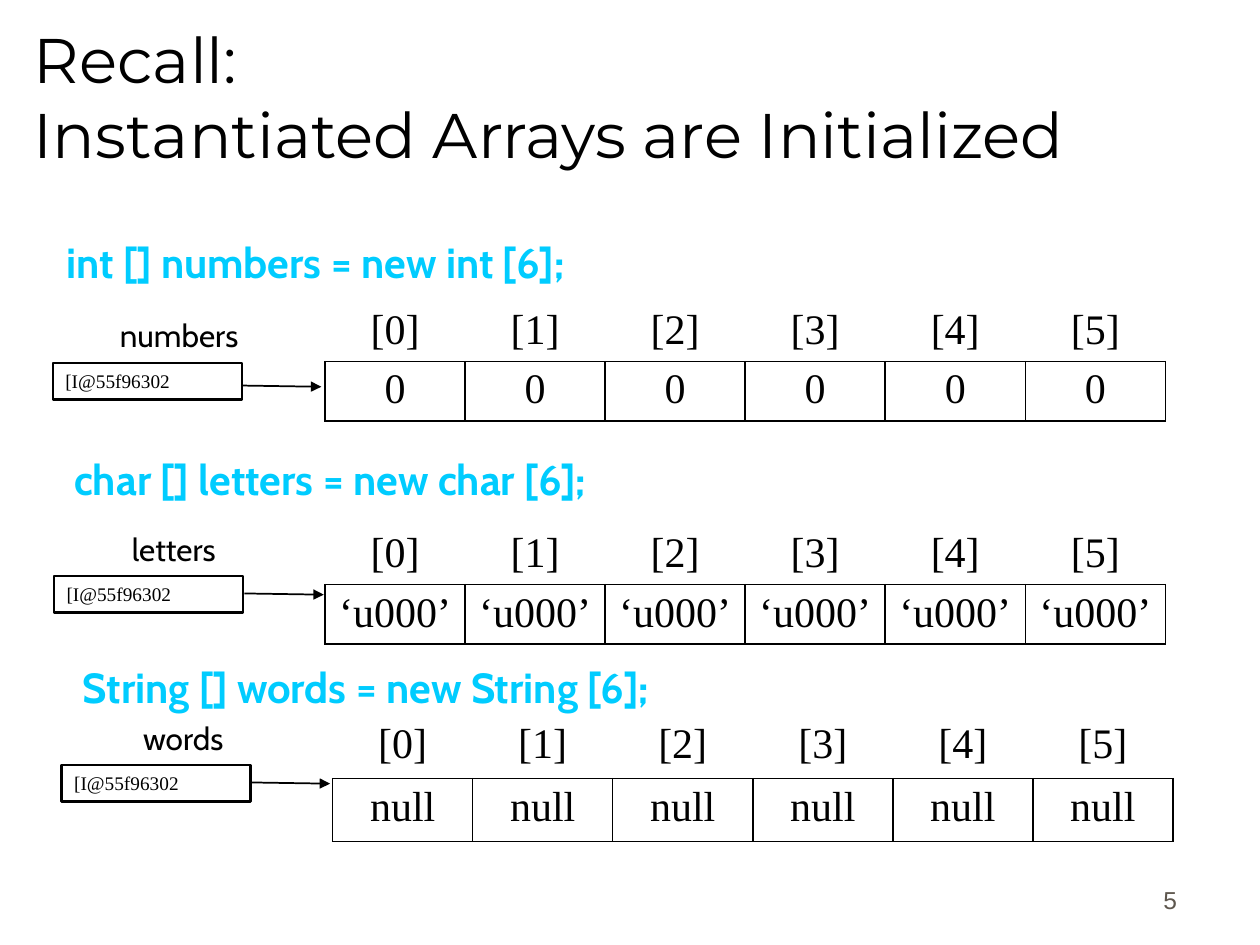
"""Build a slide on how new arrays are initialised."""
from dataclasses import dataclass

from lxml.etree import SubElement
from pptx import Presentation
from pptx.dml.color import RGBColor
from pptx.enum.shapes import MSO_CONNECTOR, MSO_SHAPE
from pptx.enum.text import MSO_ANCHOR, PP_ALIGN
from pptx.oxml.ns import qn
from pptx.slide import Slide
from pptx.text.text import TextFrame
from pptx.util import Inches, Pt

BLACK = RGBColor(0, 0, 0)
CYAN = RGBColor(0x00, 0xCC, 0xFF)
GREY = RGBColor(0x5E, 0x57, 0x4E)
SERIF = "Times New Roman"
COUNT = 6
WIDE = 6.67

TITLE = {"name": "Montserrat", "size": Pt(36)}
CODE = {"name": "Cabin", "size": Pt(24), "bold": True}
LABEL = {"name": "Cabin", "size": Pt(18)}
VALUE = {"name": SERIF, "size": Pt(11)}
CELL = {"name": SERIF, "size": Pt(24)}
PAGE = {"name": "Arial", "size": Pt(14)}


@dataclass(frozen=True)
class Array:
    """One array with its code, reference box and cells."""
    name: str
    kind: str
    value: str
    code: tuple[float, float]
    label: tuple[float, float]
    box: tuple[float, float]
    arrow: tuple[float, float]
    grid: tuple[float, float]
    row: float


ARRAYS = (
    Array("numbers", "int", "0", (0.43, 1.83), (0.74, 2.46),
          (0.42, 2.88), (1.92, 3.06), (2.58, 2.4), 0.47),
    Array("letters", "char", "‘u000’", (0.49, 3.55), (0.56, 4.16),
          (0.43, 4.57), (1.94, 4.71), (2.58, 4.17), 0.47),
    Array("words", "String", "null", (0.56, 5.2), (0.62, 5.66),
          (0.49, 6.07), (1.99, 6.21), (2.64, 5.68), 0.5),
)


def write(frame: TextFrame, text: str, style: dict, color: RGBColor = BLACK,
          align: PP_ALIGN = PP_ALIGN.LEFT) -> None:
    """Fill a frame with one styled paragraph."""
    para = frame.paragraphs[0]
    para.text = text
    para.alignment = align
    for run in para.runs:
        for key, item in style.items():
            setattr(run.font, key, item)
        run.font.color.rgb = color


def add_text(slide: Slide, at: tuple, size: tuple, text: str, style: dict,
             color: RGBColor = BLACK, align: PP_ALIGN = PP_ALIGN.LEFT,
             anchor: MSO_ANCHOR = MSO_ANCHOR.TOP) -> None:
    """Add a wrapping text box."""
    frame = slide.shapes.add_textbox(*map(Inches, at + size)).text_frame
    frame.word_wrap = True
    frame.vertical_anchor = anchor
    write(frame, text, style, color, align)


def add_box(slide: Slide, at: tuple) -> None:
    """Add the box that holds a reference."""
    box = slide.shapes.add_shape(MSO_SHAPE.RECTANGLE, *map(Inches, at + (1.5, 0.29)))
    box.shadow.inherit = False
    box.fill.background()
    box.line.color.rgb = BLACK
    box.line.width = Pt(1.5)
    write(box.text_frame, "[I@55f96302", VALUE)


def add_arrow(slide: Slide, at: tuple) -> None:
    """Add the arrow from a reference to its cells."""
    left, top = at
    ends = map(Inches, (left, top, left + 0.63, top + 0.01))
    arrow = slide.shapes.add_connector(MSO_CONNECTOR.STRAIGHT, *ends)
    arrow.line.color.rgb = BLACK
    arrow.line.width = Pt(1)
    SubElement(arrow.line._get_or_add_ln(), qn("a:tailEnd"), type="triangle")
    SubElement(arrow._element.spPr, qn("a:effectLst"))


def add_grid(slide: Slide, array: Array) -> None:
    """Add the table of indexes over values."""
    size = (WIDE, 2 * array.row)
    table = slide.shapes.add_table(2, COUNT, *map(Inches, array.grid + size)).table
    table.first_row = table.horz_banding = False
    for col in table.columns:
        col.width = Inches(WIDE / COUNT)
    for row in table.rows:
        row.height = Inches(array.row)
    for idx in range(COUNT):
        for row, text, sides in ((0, f"[{idx}]", "B"), (1, array.value, "LRTB")):
            cell = table.cell(row, idx)
            cell.margin_top, cell.margin_bottom = Inches(0.04), 0
            write(cell.text_frame, text, CELL, align=PP_ALIGN.CENTER)
            for side in sides:
                edge = SubElement(cell._tc.get_or_add_tcPr(), qn(f"a:ln{side}"),
                                  w=str(Pt(1)))
                fill = SubElement(edge, qn("a:solidFill"))
                SubElement(fill, qn("a:srgbClr"), val=str(BLACK))
            cell.fill.background()


def add_array(slide: Slide, array: Array) -> None:
    """Add every part of one array."""
    code = f"{array.kind} [] {array.name} = new {array.kind} [{COUNT}];"
    add_grid(slide, array)
    add_box(slide, array.box)
    add_text(slide, array.label, (1.25, 0.4), array.name, LABEL,
             align=PP_ALIGN.RIGHT)
    add_arrow(slide, array.arrow)
    add_text(slide, array.code, (8.81, 0.58), code, CODE, CYAN)


def main() -> None:
    """Build and save the slide."""
    deck = Presentation()
    deck.slide_width, deck.slide_height = Inches(10), Inches(7.5)
    slide = deck.slides.add_slide(deck.slide_layouts[6])
    add_text(slide, (0.17, 0.1), (9.83, 1.31),
             "Recall:\vInstantiated Arrays are Initialized", TITLE,
             anchor=MSO_ANCHOR.BOTTOM)
    for array in ARRAYS:
        add_array(slide, array)
    add_text(slide, (7.36, 6.81), (2.08, 0.5), "5", PAGE, GREY,
             PP_ALIGN.RIGHT, MSO_ANCHOR.BOTTOM)
    deck.save("out.pptx")


if __name__ == "__main__":
    main()
